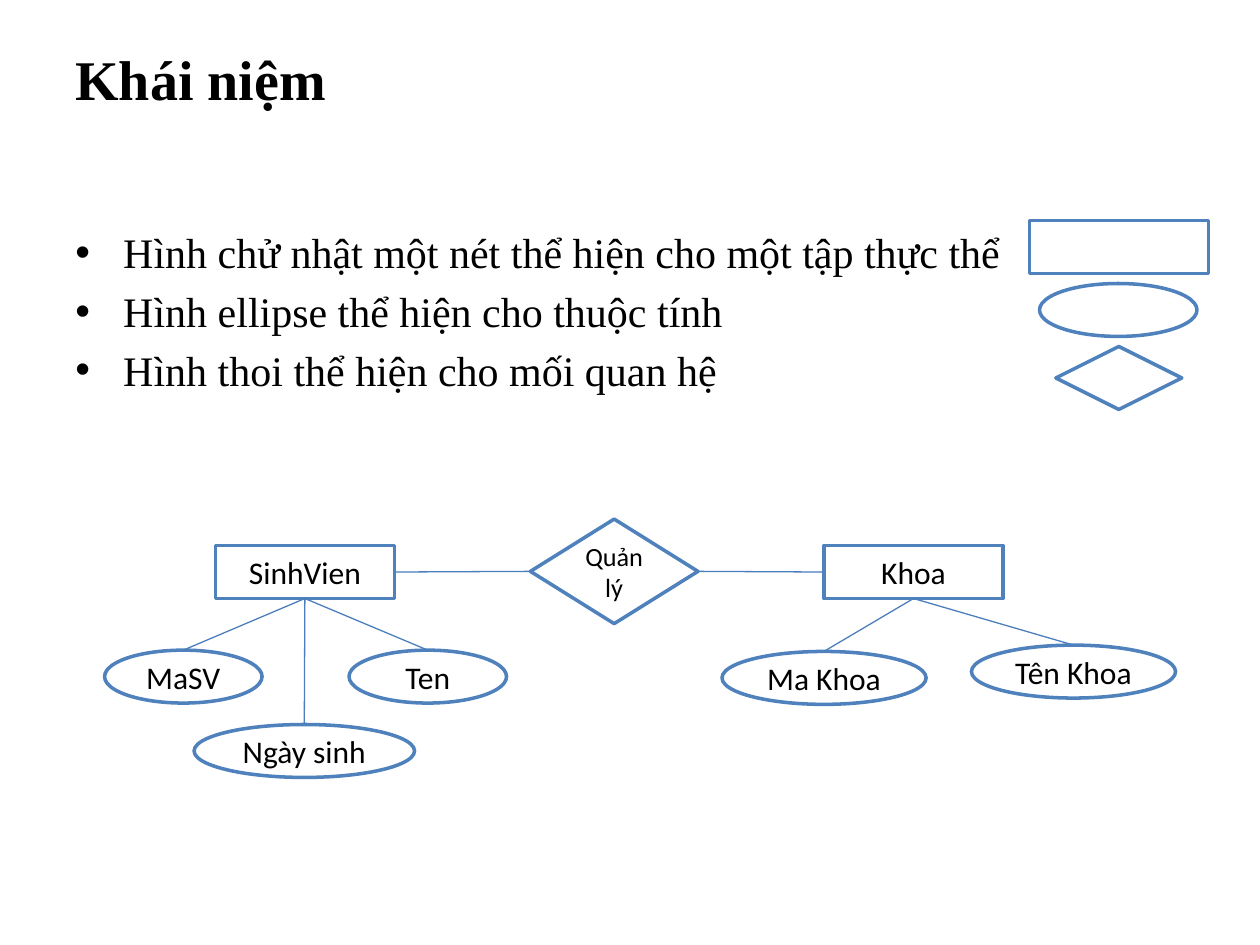
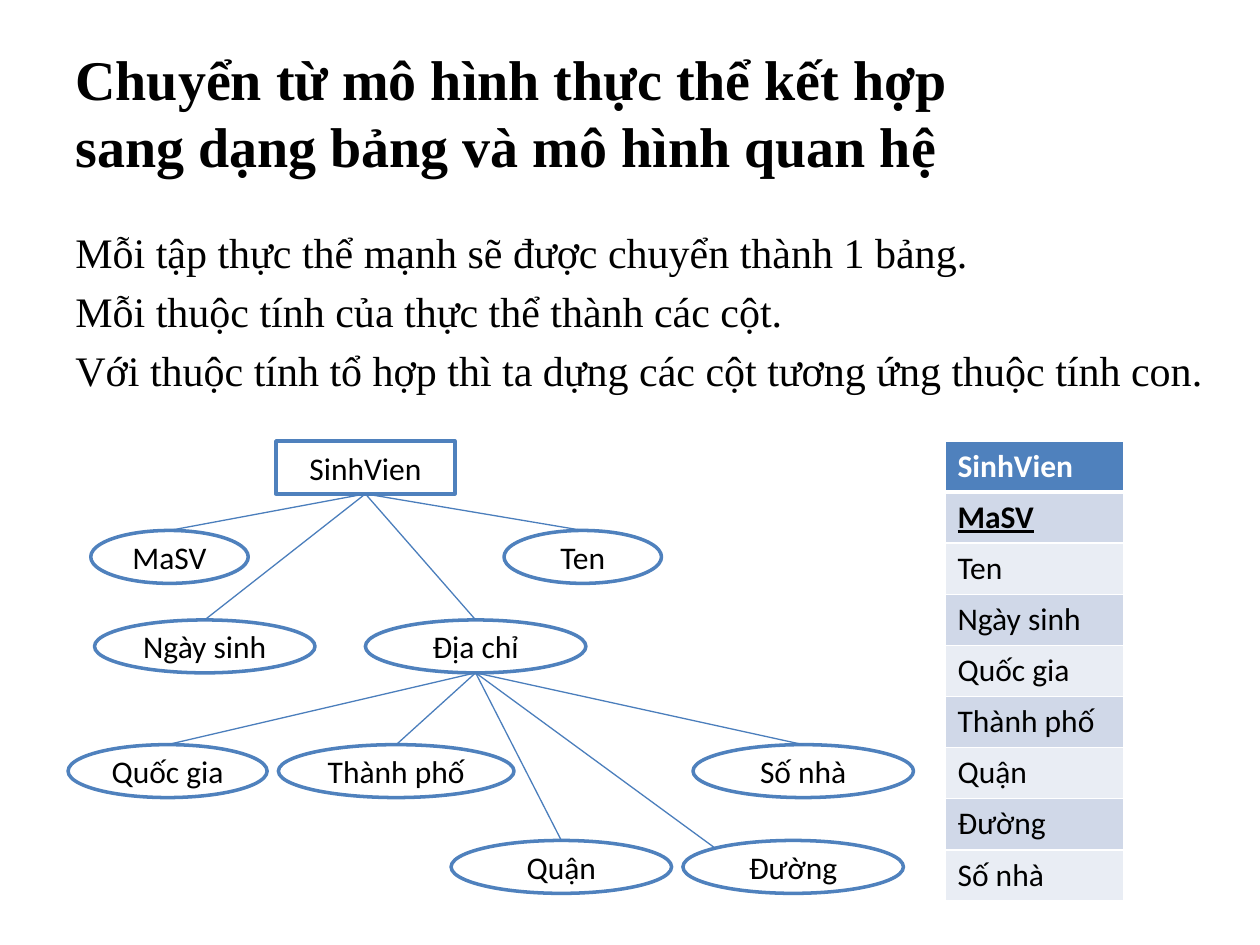
"""Build two slides on entity-relationship models and their tables."""
from dataclasses import dataclass
from math import sqrt

from lxml import etree
from pptx import Presentation
from pptx.dml.color import RGBColor
from pptx.enum.shapes import MSO_CONNECTOR, MSO_SHAPE
from pptx.enum.text import MSO_ANCHOR, PP_ALIGN
from pptx.oxml.ns import qn
from pptx.util import Inches, Pt

RECTANGLE = MSO_SHAPE.RECTANGLE
ELLIPSE = MSO_SHAPE.OVAL
DIAMOND = MSO_SHAPE.DIAMOND
STRAIGHT = MSO_CONNECTOR.STRAIGHT
LEFT, CENTER = PP_ALIGN.LEFT, PP_ALIGN.CENTER
TOP, MIDDLE = MSO_ANCHOR.TOP, MSO_ANCHOR.MIDDLE
SITE_TOP, SITE_LEFT, SITE_BOTTOM, SITE_RIGHT = range(4)


@dataclass(frozen=True)
class Theme:
    """Hold the colours, fonts and sizes shared by the slides."""

    white: str = "FFFFFF"
    black: str = "000000"
    outline: str = "4F81BD"
    link: str = "4B7EBC"
    bands: tuple = ("E9EDF4", "D0D8E8")
    text_font: str = "Times New Roman"
    diagram_font: str = "Calibri"
    title_size: float = 32
    body_size: float = 24
    label_size: float = 18
    relation_size: float = 15
    outline_width: float = 2
    link_width: float = 0.75
    node_height: float = 0.42
    entity_width: float = 1.42


THEME = Theme()


def rgb(value):
    """Return a colour from its hex digits."""
    return RGBColor.from_string(value)


def add_bullet(paragraph):
    """Give a paragraph a hanging round bullet."""
    properties = paragraph._p.get_or_add_pPr()
    properties.set("marL", str(Inches(0.38)))
    properties.set("indent", str(-Inches(0.38)))
    etree.SubElement(properties, qn("a:buFont")).set("typeface", "Arial")
    etree.SubElement(properties, qn("a:buChar")).set("char", "•")


def write_text(frame, *lines, size=THEME.label_size, font=THEME.diagram_font,
               color=THEME.black, bold=False, underline=False, align=LEFT,
               anchor=TOP, bullet=False, gap=0):
    """Fill a text frame with one formatted paragraph per line."""
    frame.word_wrap = True
    frame.vertical_anchor = anchor
    for index, line in enumerate(lines):
        paragraph = frame.add_paragraph() if index else frame.paragraphs[0]
        paragraph.text = line
        paragraph.alignment = align
        if index and gap:
            paragraph.space_before = Pt(gap)
        if bullet:
            add_bullet(paragraph)
        for run in paragraph.runs:
            run.font.size = Pt(size)
            run.font.name = font
            run.font.bold = bold
            run.font.underline = underline
            run.font.color.rgb = rgb(color)


def add_slide(deck, title, points, bullet=False):
    """Add a slide with its title and body text."""
    slide = deck.slides.add_slide(deck.slide_layouts[6])
    heading = slide.shapes.add_textbox(
        Inches(0.5), Inches(0.3), Inches(9), Inches(1.25))
    write_text(heading.text_frame, title, size=THEME.title_size,
               font=THEME.text_font, bold=True)
    body = slide.shapes.add_textbox(
        Inches(0.5), Inches(1.75), Inches(9.5), Inches(5.75))
    write_text(body.text_frame, *points, size=THEME.body_size,
               font=THEME.text_font, bullet=bullet, gap=THEME.body_size * 0.2)
    return slide


def add_node(slide, kind, left, top, width, height=THEME.node_height,
             label="", size=THEME.label_size):
    """Add an outlined diagram symbol with an optional label."""
    node = slide.shapes.add_shape(
        kind, Inches(left), Inches(top), Inches(width), Inches(height))
    node.shadow.inherit = False
    node.fill.solid()
    node.fill.fore_color.rgb = rgb(THEME.white)
    node.line.color.rgb = rgb(THEME.outline)
    node.line.width = Pt(THEME.outline_width)
    if label:
        write_text(node.text_frame, label, size=size, align=CENTER,
                   anchor=MIDDLE)
    return node


def add_entity(slide, label, left, top):
    """Add an entity rectangle."""
    return add_node(slide, RECTANGLE, left, top, THEME.entity_width,
                    label=label)


def add_attribute(slide, label, left, top, width=1.75):
    """Add an attribute ellipse."""
    return add_node(slide, ELLIPSE, left, top, width, label=label)


def add_link(slide, start=(0, 0), end=(0, 0)):
    """Add a thin straight line between two points."""
    link = slide.shapes.add_connector(STRAIGHT, *start, *end)
    link.line.color.rgb = rgb(THEME.link)
    link.line.width = Pt(THEME.link_width)
    etree.SubElement(link._element.spPr, qn("a:effectLst"))
    return link


def join_sides(slide, left_node, right_node):
    """Join the facing sides of two neighbouring nodes."""
    link = add_link(slide)
    link.begin_connect(left_node, SITE_RIGHT)
    link.end_connect(right_node, SITE_LEFT)


def bottom_of(node):
    """Return the middle of a node's lower side."""
    return node.left + node.width // 2, node.top + node.height


def upper_left_of(ellipse):
    """Return the point at 45 degrees on an ellipse's upper left."""
    inset = (1 - sqrt(0.5)) / 2
    return (ellipse.left + int(ellipse.width * inset),
            ellipse.top + int(ellipse.height * inset))


def branch(slide, parent, attributes):
    """Link a node's lower side to the top of each attribute."""
    for attribute in attributes:
        link = add_link(slide, bottom_of(parent))
        if parent.auto_shape_type == RECTANGLE:
            link.begin_connect(parent, SITE_BOTTOM)
        link.end_connect(attribute, SITE_TOP)


def set_borders(cell, **widths):
    """Give a cell white borders with the given widths in points."""
    properties = cell._tc.get_or_add_tcPr()
    for index, side in enumerate("LRTB"):
        border = etree.Element(qn(f"a:ln{side}"),
                               w=str(Pt(widths.get(side, 1))))
        fill = etree.SubElement(border, qn("a:solidFill"))
        etree.SubElement(fill, qn("a:srgbClr")).set("val", THEME.white)
        properties.insert(index, border)


def add_column_table(slide, header, key, columns):
    """Add a one-column table listing an entity's columns."""
    names = [header, key, *columns]
    table = slide.shapes.add_table(
        len(names), 1, Inches(7.5), Inches(3.5),
        Inches(THEME.entity_width), Inches(3.65)).table
    for row, name in enumerate(names):
        cell = table.cell(row, 0)
        is_header = row == 0
        write_text(cell.text_frame, name, bold=row < 2, underline=row == 1,
                   color=THEME.white if is_header else THEME.black)
        cell.fill.solid()
        cell.fill.fore_color.rgb = rgb(
            THEME.outline if is_header else THEME.bands[row % 2])
        set_borders(cell, B=3 if is_header else 1, T=3 if row == 1 else 1)


def build_concepts(deck):
    """Build the slide that explains the diagram symbols."""
    slide = add_slide(deck, "Khái niệm", [
        "Hình chử nhật một nét thể hiện cho một tập thực thể",
        "Hình ellipse thể hiện cho thuộc tính",
        "Hình thoi thể hiện cho mối quan hệ",
    ], bullet=True)
    add_node(slide, RECTANGLE, 8.17, 1.75, THEME.entity_width)
    add_node(slide, ELLIPSE, 8.25, 2.25, 1.25)
    add_node(slide, DIAMOND, 8.38, 2.75, 1, 0.5)

    student = add_entity(slide, "SinhVien", 1.71, 4.33)
    faculty = add_entity(slide, "Khoa", 6.54, 4.33)
    manages = add_node(slide, DIAMOND, 4.21, 4.12, 1.33, 0.83, "Quản lý",
                       THEME.relation_size)
    join_sides(slide, student, manages)
    join_sides(slide, manages, faculty)
    branch(slide, student, [
        add_attribute(slide, "MaSV", 0.83, 5.16, 1.25),
        add_attribute(slide, "Ten", 2.77, 5.16, 1.25),
        add_attribute(slide, "Ngày sinh", 1.54, 5.75),
    ])
    branch(slide, faculty, [
        add_attribute(slide, "Ma Khoa", 5.73, 5.17, 1.62),
        add_attribute(slide, "Tên Khoa", 7.71, 5.12, 1.62),
    ])


def build_conversion(deck):
    """Build the slide that turns an entity into a table."""
    slide = add_slide(
        deck,
        "Chuyển từ mô hình thực thể kết hợp \v"
        "sang dạng bảng và mô hình quan hệ", [
            "Mỗi tập thực thể mạnh sẽ được chuyển thành 1 bảng.",
            "Mỗi thuộc tính của thực thể thành các cột.",
            "Với thuộc tính tổ hợp thì ta dựng các cột tương ứng "
            "thuộc tính con.",
        ])
    student = add_entity(slide, "SinhVien", 2.19, 3.5)
    address = add_attribute(slide, "Địa chỉ", 2.9, 4.92)
    branch(slide, student, [
        add_attribute(slide, "MaSV", 0.72, 4.21, 1.25),
        add_attribute(slide, "Ten", 4, 4.21, 1.25),
        add_attribute(slide, "Ngày sinh", 0.75, 4.92),
        address,
    ])
    branch(slide, address, [
        add_attribute(slide, "Quốc gia", 0.54, 5.91, 1.58),
        add_attribute(slide, "Thành phố", 2.21, 5.91, 1.87),
        add_attribute(slide, "Số nhà", 5.5, 5.91),
        add_attribute(slide, "Quận", 3.58, 6.67),
    ])
    street = add_attribute(slide, "Đường", 5.42, 6.67)
    add_link(slide, bottom_of(address), upper_left_of(street))
    add_column_table(slide, "SinhVien", "MaSV", [
        "Ten", "Ngày sinh", "Quốc gia", "Thành phố", "Quận", "Đường",
        "Số nhà"])


def main():
    """Build and save the presentation."""
    deck = Presentation()
    deck.slide_width = Inches(10)
    deck.slide_height = Inches(7.5)
    build_concepts(deck)
    build_conversion(deck)
    deck.save("out.pptx")


if __name__ == "__main__":
    main()
